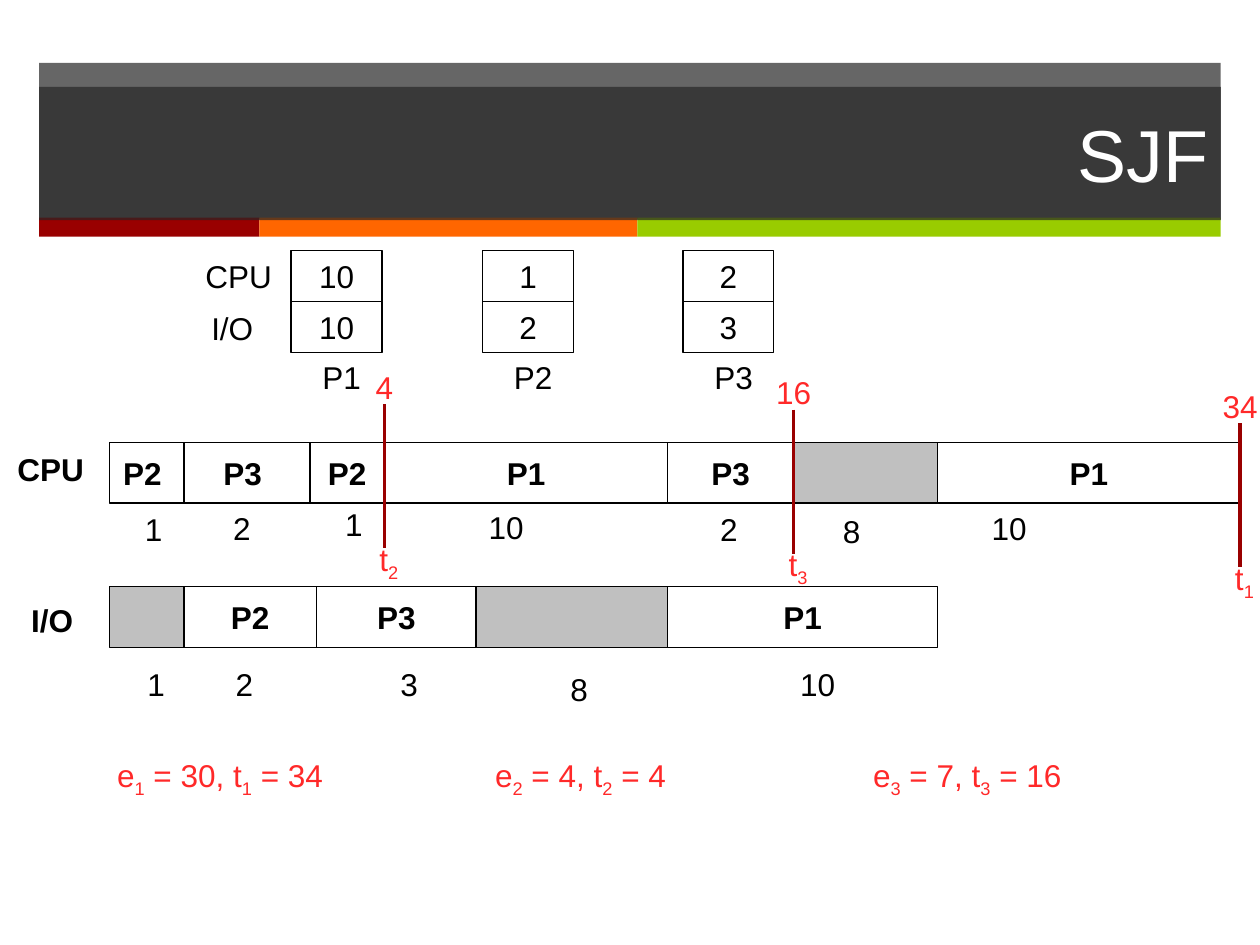
from collections import namedtuple
from dataclasses import dataclass

from lxml.etree import SubElement
from pptx import Presentation
from pptx.dml.color import RGBColor
from pptx.enum.shapes import MSO_CONNECTOR, MSO_SHAPE
from pptx.enum.text import MSO_ANCHOR, MSO_AUTO_SIZE, PP_ALIGN
from pptx.oxml.ns import qn
from pptx.util import Cm, Pt


@dataclass(frozen=True)
class Theme:
    font: str = "Arial"
    ink: str = "000000"
    red: str = "FF2929"
    mark: str = "990000"
    idle: str = "C0C0C0"
    band: str = "262626"
    pale: str = "FFFFFF"
    bars: tuple = ("990000", "FF6600", "99CC00")
    body: float = 18
    head: float = 42
    edge: float = 0.75
    rule: float = 2


Load = namedtuple("Load", "name left times")
Slot = namedtuple("Slot", "name right time left top wide", defaults=(1.04,))
Mark = namedtuple("Mark", "left top time name")
Label = namedtuple("Label", "text left top wide bold")

THEME = Theme()
BARS = (0.79, 5.23, 12.85, 24.61)
START, TALL, CELL, LINE = 2.21, 1.22, 1.03, 1.02
LOADS = (
    Load("P1", 5.87, ("10", "10")),
    Load("P2", 9.73, ("1", "2")),
    Load("P3", 13.77, ("2", "3")),
)
CPU = (
    Slot("P2 ", 3.71, "1", 2.67, 10.16, 1.22),
    Slot("P3 ", 6.25, "2", 4.45, 10.13),
    Slot("P2", 7.75, "1", 6.71, 10.06),
    Slot("P1", 13.46, "10", 9.6, 10.11, 1.4),
    Slot("P3", 16, "2", 14.27, 10.16),
    Slot("", 18.9, "8", 16.74, 10.19),
    Slot("P1", 25, "10", 19.74, 10.13, 1.57),
)
DISK = (
    Slot("", 3.71, "1", 2.72, 13.28),
    Slot("P2", 6.38, "2", 4.5, 13.28),
    Slot("P3", 9.6, "3", 7.82, 13.28),
    Slot("", 13.46, "8", 11.25, 13.39, 1.4),
    Slot("P1", 18.9, "10", 15.88, 13.28, 1.57),
)
LABELS = (
    Label("CPU", 3.89, 5.05, 2.21, False),
    Label("I/O", 4.01, 6.1, 1.7, False),
    Label("CPU", 0.1, 8.94, 2.03, True),
    Label("I/O", 0.38, 11.99, 1.7, True),
)
MARKS = (
    Mark(25, 8.53, "34", " t_1_"),
    Mark(7.75, 8.15, "4", " t_2_"),
    Mark(16, 8.26, "16", " t_3_"),
)
SUMS = "e_1_ = 30, t_1_ = 34\te_2_ = 4, t_2_ = 4\te_3_ = 7, t_3_ = 16"


def style(para, color: str, size: float = THEME.body, bold: bool = False) -> None:
    for run in para.runs:
        run.font.name, run.font.size, run.font.bold = THEME.font, Pt(size), bold
        run.font.color.rgb = RGBColor.from_string(color)


def paint(shape, color: str, alpha: int = 100) -> None:
    shape.fill.solid()
    shape.fill.fore_color.rgb = RGBColor.from_string(color)
    if alpha < 100:
        tint = next(shape.element.iter(qn("a:srgbClr")))
        SubElement(tint, qn("a:alpha")).set("val", str(alpha * 1000))


def block(slide, left: float, top: float, wide: float, tall: float):
    shape = slide.shapes.add_shape(
        MSO_SHAPE.RECTANGLE, Cm(left), Cm(top), Cm(wide), Cm(tall))
    shape.shadow.inherit = False
    shape.fill.background()
    shape.line.fill.background()
    return shape


def cell(slide, text: str, left: float, top: float, wide: float,
         tall: float, bold: bool = False):
    shape = block(slide, left, top, wide, tall)
    shape.line.color.rgb = RGBColor.from_string(THEME.ink)
    shape.line.width = Pt(THEME.edge)
    if text:
        frame = shape.text_frame
        frame.text = text
        frame.word_wrap = False
        frame.vertical_anchor = MSO_ANCHOR.MIDDLE
        frame.paragraphs[0].alignment = PP_ALIGN.CENTER
        style(frame.paragraphs[0], THEME.ink, bold=bold)
    return shape


def note(slide, text: str, left: float, top: float, wide: float,
         color: str = THEME.ink, bold: bool = False,
         align: PP_ALIGN = PP_ALIGN.LEFT):
    """Write text whose parts between underscores are subscripts."""
    frame = slide.shapes.add_textbox(
        Cm(left), Cm(top), Cm(wide), Cm(LINE)).text_frame
    frame.word_wrap = True
    para = frame.paragraphs[0]
    para.alignment = align
    for i, part in enumerate(text.split("_")):
        if part:
            run = para.add_run()
            run.text = part
            if i % 2:
                run._r.get_or_add_rPr().set("baseline", "-25000")
    style(para, color, bold=bold)
    return para


def track(slide, slots: tuple, top: float) -> None:
    left = START
    for slot in slots:
        shape = cell(slide, slot.name, left, top, slot.right - left, TALL, True)
        if not slot.name:
            paint(shape, THEME.idle)
        note(slide, slot.time, slot.left, slot.top, slot.wide)
        left = slot.right


def flag(slide, mark: Mark) -> None:
    line = slide.shapes.add_connector(
        MSO_CONNECTOR.STRAIGHT, Cm(mark.left), Cm(mark.top),
        Cm(mark.left), Cm(mark.top + 2.9))
    line.line.color.rgb = RGBColor.from_string(THEME.mark)
    line.line.width = Pt(THEME.rule)
    SubElement(line.element.spPr, qn("a:effectLst"))
    for text, drop, wide in ((mark.time, -0.86, 1.58), (mark.name, 2.61, 1.35)):
        note(slide, text, mark.left - wide / 2, mark.top + drop, wide,
             THEME.red, align=PP_ALIGN.CENTER)


def header(slide) -> None:
    left, right = BARS[0], BARS[-1]
    paint(block(slide, left, 1.27, right - left, 3.15), THEME.band, 70)
    for x, end, color in zip(BARS, BARS[1:], THEME.bars):
        paint(block(slide, x, 4.39, end - x, 0.38), color)
    title = slide.shapes.title
    title.left, title.top = Cm(left), Cm(1.75)
    title.width, title.height = Cm(right - left), Cm(2.69)
    paint(title, THEME.band, 70)
    frame = title.text_frame
    frame.text = "SJF"
    frame.auto_size = MSO_AUTO_SIZE.NONE
    frame.vertical_anchor = MSO_ANCHOR.MIDDLE
    frame.paragraphs[0].alignment = PP_ALIGN.RIGHT
    style(frame.paragraphs[0], THEME.pale, THEME.head)
    title.element.getparent().append(title.element)


def main() -> None:
    deck = Presentation()
    deck.slide_width, deck.slide_height = Cm(25.4), Cm(19.05)
    slide = deck.slides.add_slide(deck.slide_layouts[5])
    header(slide)
    for load in LOADS:
        for i, text in enumerate(load.times):
            cell(slide, text, load.left, 5.05 + i * CELL, 1.83, CELL)
        note(slide, load.name, load.left + 0.38, 7.09, 1.65)
    for tag in LABELS:
        note(slide, tag.text, tag.left, tag.top, tag.wide, bold=tag.bold)
    track(slide, CPU, 8.92)
    track(slide, DISK, 11.83)
    sums = note(slide, SUMS, 2.11, 15.11, 19.74, THEME.red)
    tabs = SubElement(sums._p.get_or_add_pPr(), qn("a:tabLst"))
    for stop in (7.62, 15.24):
        SubElement(tabs, qn("a:tab"), pos=str(Cm(stop)), algn="l")
    for mark in MARKS:
        flag(slide, mark)
    deck.save("out.pptx")


if __name__ == "__main__":
    main()
